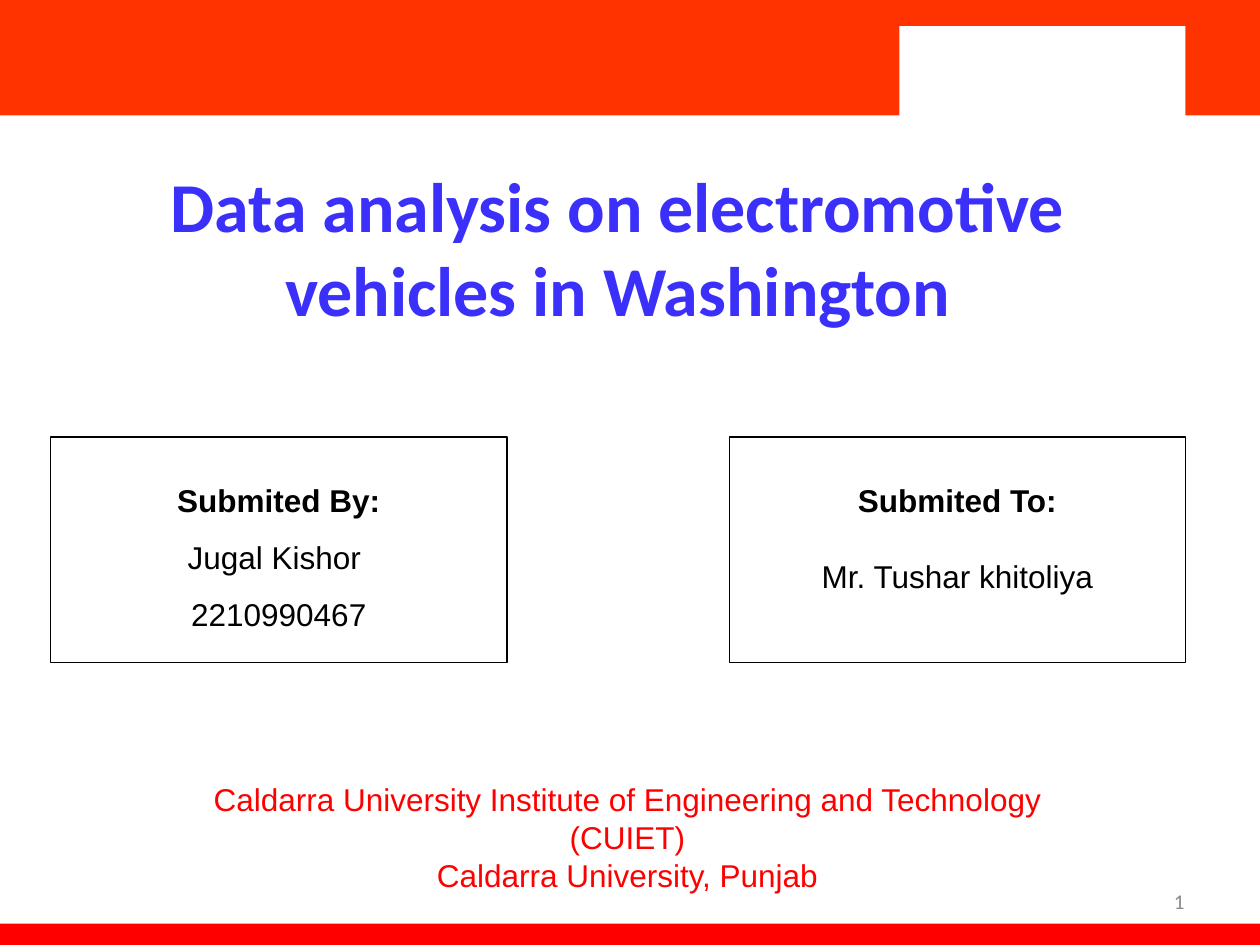
from dataclasses import dataclass

from pptx import Presentation
from pptx.dml.color import RGBColor
from pptx.enum.shapes import MSO_SHAPE
from pptx.enum.text import MSO_ANCHOR, PP_ALIGN
from pptx.util import Cm, Pt

COLOURS = {
    "banner": "FF3300",
    "red": "FF0000",
    "white": "FFFFFF",
    "title": "3A30FA",
    "black": "000000",
    "grey": "898989",
}


@dataclass
class Area:
    """Position and size in centimetres."""
    left: float
    top: float
    width: float
    height: float

    def lengths(self) -> list:
        return [Cm(n) for n in (self.left, self.top, self.width, self.height)]


@dataclass
class Line:
    """One paragraph and its look."""
    text: str
    size: float = 18
    font: str = "Arial"
    colour: str = "black"
    bold: bool = False
    align: PP_ALIGN = PP_ALIGN.CENTER
    spacing: float = 1.0
    before: float = 0


def rgb(name: str) -> RGBColor:
    return RGBColor.from_string(COLOURS[name])


def write(box, lines: list[Line], anchor=MSO_ANCHOR.TOP, top: float = 0.13) -> None:
    frame = box.text_frame
    frame_format = {
        "word_wrap": True,
        "vertical_anchor": anchor,
        "margin_left": Cm(0.25),
        "margin_right": Cm(0.25),
        "margin_top": Cm(top),
        "margin_bottom": Cm(0.13),
    }
    for name, value in frame_format.items():
        setattr(frame, name, value)
    for index, line in enumerate(lines):
        para = frame.add_paragraph() if index else frame.paragraphs[0]
        para_format = {
            "alignment": line.align,
            "line_spacing": line.spacing,
            "space_before": Pt(line.before),
        }
        for name, value in para_format.items():
            setattr(para, name, value)
        span = para.add_run()
        span.text = line.text
        span_format = {"size": Pt(line.size), "name": line.font, "bold": line.bold}
        for name, value in span_format.items():
            setattr(span.font, name, value)
        span.font.color.rgb = rgb(line.colour)


def add_block(page, area: Area, fill: str | None = None, outline: str | None = None):
    block = page.shapes.add_shape(MSO_SHAPE.RECTANGLE, *area.lengths())
    block.shadow.inherit = False
    if fill:
        block.fill.solid()
        block.fill.fore_color.rgb = rgb(fill)
    else:
        block.fill.background()
    if outline:
        block.line.color.rgb = rgb(outline)
        block.line.width = Pt(0.75)
    else:
        block.line.fill.background()
    return block


def add_text(page, area: Area, lines: list[Line], anchor=MSO_ANCHOR.TOP) -> None:
    write(page.shapes.add_textbox(*area.lengths()), lines, anchor)


def main() -> None:
    deck = Presentation()
    deck.slide_width, deck.slide_height = Cm(25.4), Cm(19.05)
    page = deck.slides.add_slide(deck.slide_layouts[6])

    # Top banner with its white panel, and the bottom bar
    for area, fill in (
        (Area(0, 0, 25.4, 2.33), "banner"),
        (Area(0, 18.62, 25.4, 0.56), "red"),
        (Area(18.13, 0.53, 5.77, 1.9), "white"),
    ):
        add_block(page, area, fill=fill)

    # Title
    title = Line("Data analysis on electromotive vehicles in Washington",
                 size=40, font="Calibri", colour="title", bold=True)
    add_text(page, Area(1.02, 2.72, 22.86, 4.5), [title], MSO_ANCHOR.MIDDLE)

    # Submission cards
    cards = {
        1.02: [
            Line("Submited By:", bold=True),
            Line("Jugal Kishor ", spacing=1.5),
            Line("2210990467", spacing=1.5),
        ],
        14.7: [
            Line("Submited To:", bold=True),
            Line("Mr. Tushar khitoliya", before=21.6),
        ],
    }
    for left, lines in cards.items():
        card = add_block(page, Area(left, 8.81, 9.2, 4.55), outline="black")
        write(card, lines, top=0.89)

    # Institute
    institute = [
        Line("Caldarra University Institute of Engineering and Technology (CUIET)",
             colour="red"),
        Line("Caldarra University, Punjab", colour="red"),
    ]
    add_text(page, Area(2.87, 15.6, 19.56, 2.57), institute)

    # Page number
    number = Line("1", size=12, font="Calibri", colour="grey", align=PP_ALIGN.RIGHT)
    add_text(page, Area(18.21, 17.65, 5.92, 1.02), [number], MSO_ANCHOR.MIDDLE)

    deck.save("out.pptx")


if __name__ == "__main__":
    main()
